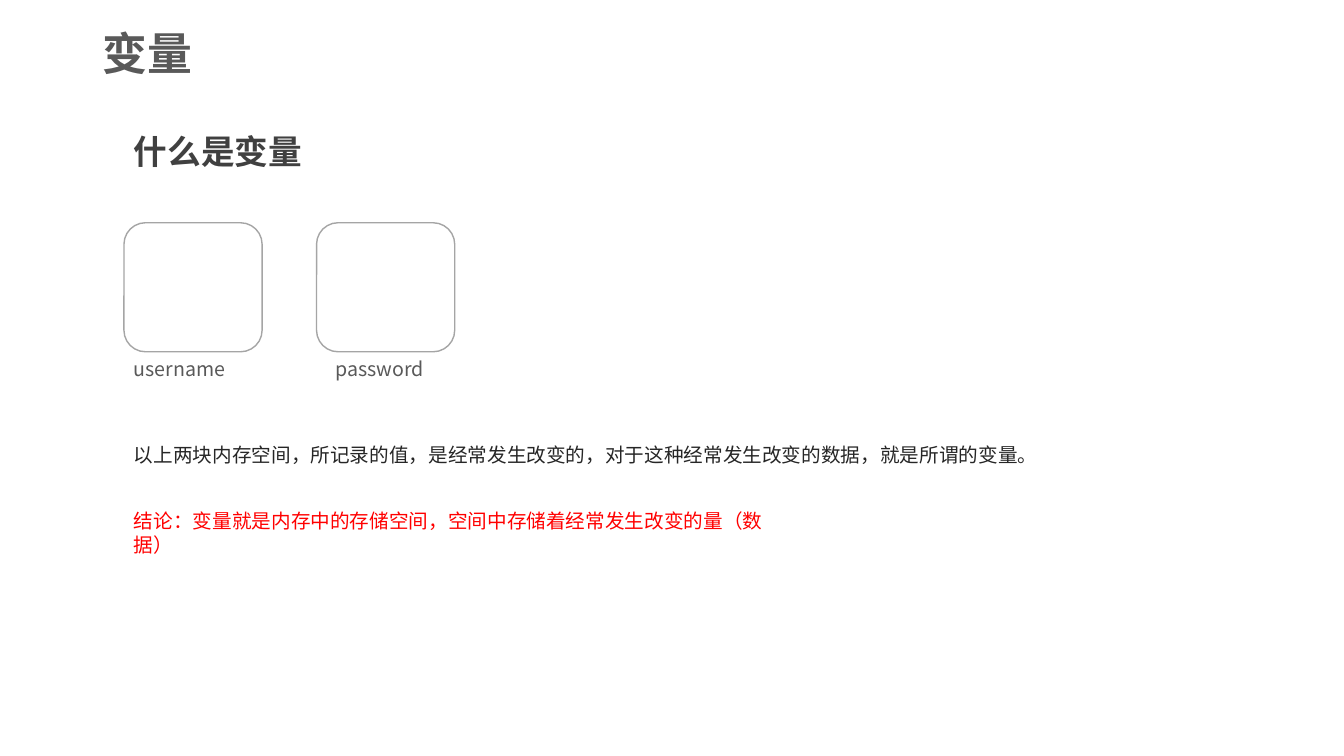
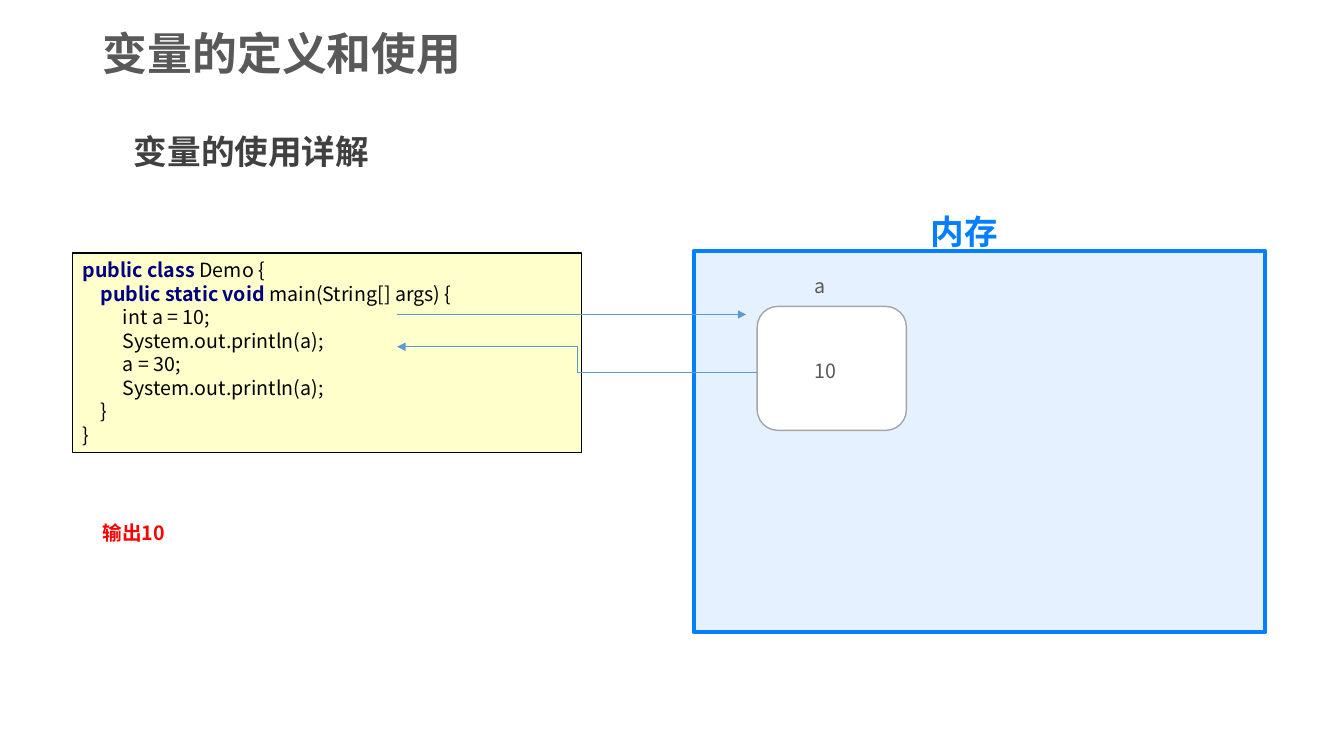
import pptx
import pptx.util
import pptx.dml.color
import pptx.enum.shapes
import pptx.enum.text
import pptx.oxml
import pptx.oxml.ns
import lxml.etree

Inches = pptx.util.Inches
SHAPES = pptx.enum.shapes.MSO_SHAPE
CONNECTORS = pptx.enum.shapes.MSO_CONNECTOR
ALIGN = pptx.enum.text.PP_ALIGN
ANCHOR = pptx.enum.text.MSO_ANCHOR
qn = pptx.oxml.ns.qn

FONT = "Noto Sans CJK SC"
TITLE_GRAY = "595959"
HEADING_GRAY = "404040"
BODY_GRAY = "262626"
CELL_LINE = "A5A5A5"
MEMORY_BLUE = "047FFD"
ARROW_BLUE = "5B9BD5"
KEYWORD_NAVY = "000080"
CODE_YELLOW = "FFFFCC"
BLACK = "000000"
WHITE = "FFFFFF"
RED = "FF0000"

TITLE_AREA = (0.92, -0.03, 7.85, 1.18)
HEADING_AREA = (1.23, 1.05, 5.97, 0.71)

# Each line: indent in inches, keywords, remaining code
CODE_LINES = [
    (0, "public class ", "Demo {"),
    (0.18, "public static void ", "main(String[] args) {"),
    (0.4, "", "int a = 10;"),
    (0.4, "", "System.out.println(a);"),
    (0.4, "", "a = 30;"),
    (0.4, "", "System.out.println(a);"),
    (0.18, "", "}"),
    (0, "", "}"),
]


def rgb(color):
    return pptx.dml.color.RGBColor.from_string(color)


def inches(area):
    return [Inches(length) for length in area]


def style_paragraph(paragraph, size, color, bold=False, align=ALIGN.LEFT, spacing=None):
    paragraph.alignment = align
    paragraph.line_spacing = spacing
    font = paragraph.font
    font.size = pptx.util.Pt(size)
    font.bold = bold
    font.color.rgb = rgb(color)
    font.name = FONT
    defaults = paragraph._p.get_or_add_pPr().find(qn("a:defRPr"))
    lxml.etree.SubElement(defaults, qn("a:ea"), typeface=FONT)


def add_label(slide, area, text, color, size=14, **style):
    frame = slide.shapes.add_textbox(*inches(area)).text_frame
    frame.word_wrap = True
    frame.text = text
    style_paragraph(frame.paragraphs[0], size, color, **style)


def add_heading(slide, area, text, color=HEADING_GRAY, align=ALIGN.LEFT):
    add_label(slide, area, text, color, 24, bold=True, align=align, spacing=1.5)


def add_box(slide, area, fill, line, width=1, preset=SHAPES.RECTANGLE):
    box = slide.shapes.add_shape(preset, *inches(area))
    box.shadow.inherit = False
    box.fill.solid()
    box.fill.fore_color.rgb = rgb(fill)
    box.line.color.rgb = rgb(line)
    box.line.width = pptx.util.Pt(width)
    return box


def add_cell(slide, area):
    """Draw one storage location as a rounded white box."""
    add_box(slide, area, WHITE, CELL_LINE, preset=SHAPES.ROUNDED_RECTANGLE)


def add_memory(slide, area):
    memory = add_box(slide, area, MEMORY_BLUE, MEMORY_BLUE, 3)
    color = memory._element.spPr.find(qn("a:solidFill"))[0]
    lxml.etree.SubElement(color, qn("a:alpha"), val="10000")


def add_arrow(slide, kind, start, end):
    arrow = slide.shapes.add_connector(kind, *inches(start + end))
    arrow.line.color.rgb = rgb(ARROW_BLUE)
    arrow.line.width = pptx.util.Pt(0.5)
    lxml.etree.SubElement(arrow.line._get_or_add_ln(), qn("a:tailEnd"), type="triangle")
    lxml.etree.SubElement(arrow._element.spPr, qn("a:effectLst"))


def add_code(slide, area, lines):
    frame = add_box(slide, area, CODE_YELLOW, BLACK).text_frame
    frame.word_wrap = True
    frame.vertical_anchor = ANCHOR.TOP
    for number, (indent, keywords, code) in enumerate(lines):
        paragraph = frame.add_paragraph() if number else frame.paragraphs[0]
        style_paragraph(paragraph, 14, BLACK)
        paragraph._p.get_or_add_pPr().set("marL", str(Inches(indent)))
        if keywords:
            keyword_run = paragraph.add_run()
            keyword_run.text = keywords
            keyword_run.font.bold = True
            keyword_run.font.color.rgb = rgb(KEYWORD_NAVY)
        paragraph.add_run().text = code


def add_topic_slide(deck, title_text, heading):
    slide = deck.slides.add_slide(deck.slide_layouts[5])
    title = slide.shapes.title
    title.left, title.top, title.width, title.height = inches(TITLE_AREA)
    frame = title.text_frame
    frame.text = title_text
    frame.auto_size = pptx.enum.text.MSO_AUTO_SIZE.NONE
    frame.vertical_anchor = ANCHOR.MIDDLE
    style_paragraph(frame.paragraphs[0], 32, TITLE_GRAY, bold=True, spacing=0.9)
    add_heading(slide, HEADING_AREA, heading)
    return slide


def build_definition(deck):
    slide = add_topic_slide(deck, "变量", "什么是变量")
    for cell_left, name_left, name in [(1.23, 1.23, "username"), (3.14, 3.23, "password")]:
        add_cell(slide, (cell_left, 2.21, 1.37, 1.28))
        add_label(slide, (name_left, 3.49, 1.2, 0.34), name, TITLE_GRAY)
    add_label(
        slide, (1.23, 4.34, 9.4, 0.34),
        "以上两块内存空间，所记录的值，是经常发生改变的，对于这种经常发生改变的数据，就是所谓的变量。",
        BODY_GRAY)
    add_label(
        slide, (1.23, 5, 6.7, 0.57),
        "结论：变量就是内存中的存储空间，空间中存储着经常发生改变的量（数据）", RED)


def build_usage(deck):
    slide = add_topic_slide(deck, "变量的定义和使用", "变量的使用详解")
    add_memory(slide, (6.88, 2.49, 5.67, 3.78))
    add_heading(slide, (8.03, 1.84, 3.07, 0.71), "内存", MEMORY_BLUE, ALIGN.CENTER)
    add_code(slide, (0.72, 2.51, 5.05, 1.98), CODE_LINES)
    add_cell(slide, (7.51, 3.04, 1.48, 1.23))
    add_label(slide, (7.98, 2.67, 0.6, 0.34), "a", TITLE_GRAY)
    add_label(slide, (7.98, 3.51, 0.6, 0.34), "10", TITLE_GRAY)
    add_arrow(slide, CONNECTORS.STRAIGHT, (3.94, 3.12), (7.4, 3.12))
    add_arrow(slide, CONNECTORS.ELBOW, (7.51, 3.69), (3.94, 3.44))
    add_label(slide, (0.92, 5.12, 6.06, 0.34), "输出10", RED, bold=True)


def main():
    deck = pptx.Presentation()
    deck.slide_width, deck.slide_height = inches((13.33, 7.5))
    build_definition(deck)
    build_usage(deck)
    deck.save("out.pptx")


if __name__ == "__main__":
    main()
